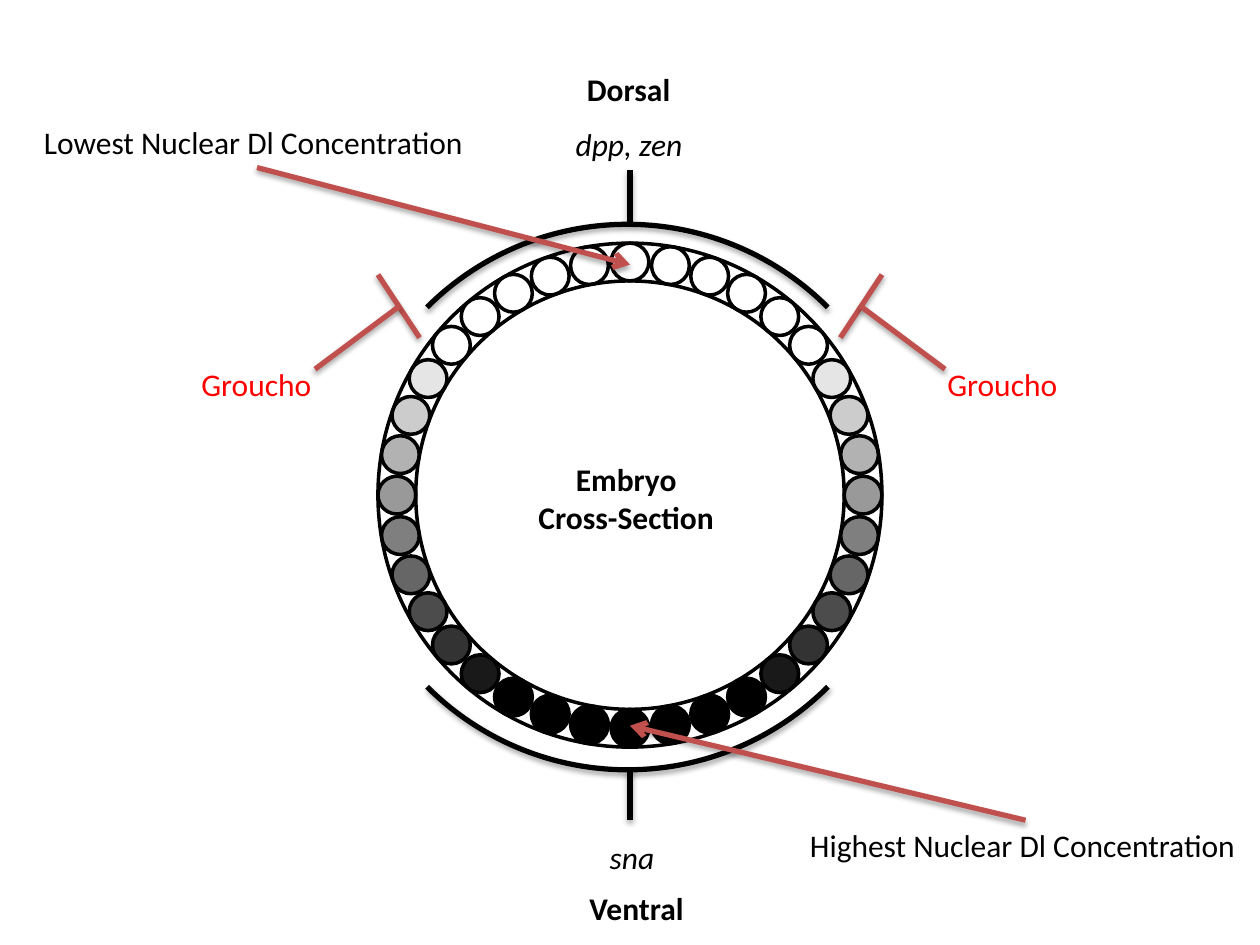
from dataclasses import dataclass
from math import cos, radians, sin

from lxml import etree
from pptx import Presentation
from pptx.dml.color import RGBColor
from pptx.enum.shapes import MSO_CONNECTOR, MSO_SHAPE
from pptx.enum.text import MSO_AUTO_SIZE, PP_ALIGN
from pptx.oxml.ns import qn
from pptx.util import Inches, Pt

OVAL, ARC = MSO_SHAPE.OVAL, MSO_SHAPE.ARC
STRAIGHT = MSO_CONNECTOR.STRAIGHT
LEFT, CENTER = PP_ALIGN.LEFT, PP_ALIGN.CENTER
COLUMNS, ROWS = 10, 7.5


@dataclass(frozen=True)
class Theme:
    black: RGBColor = RGBColor(0, 0, 0)
    marker: RGBColor = RGBColor(0xC0, 0x50, 0x4D)
    repressor: RGBColor = RGBColor(0xFF, 0, 0)
    font: str = "Calibri"
    text_size: float = 18
    thin: float = 2
    thick: float = 3


class Diagram:
    """Draws on one slide; every length is in grid columns and rows."""

    def __init__(self, deck, theme):
        self.theme = theme
        self.slide = deck.slides.add_slide(deck.slide_layouts[6])
        self.column = deck.slide_width / COLUMNS
        self.row = deck.slide_height / ROWS

    def place(self, x, y):
        return round(x * self.column), round(y * self.row)

    def add_effects(self, shape, shadowed):
        properties = shape._element.spPr
        effects = properties.find(qn("a:effectLst"))
        if effects is None:
            effects = etree.SubElement(properties, qn("a:effectLst"))
        if shadowed:
            shadow = etree.SubElement(
                effects, qn("a:outerShdw"), blurRad=str(Pt(3.1)),
                dist=str(Pt(1.8)), dir="5400000", rotWithShape="0")
            color = etree.SubElement(shadow, qn("a:srgbClr"), val=str(self.theme.black))
            etree.SubElement(color, qn("a:alpha"), val="35000")

    def round_shape(self, kind, center, radius, weight, shade=0, turn=0, shadowed=False):
        """Add a circle or quarter arc; shade is the percentage of black."""
        x, y = center
        shape = self.slide.shapes.add_shape(
            kind, *self.place(x - radius, y - radius), *self.place(2 * radius, 2 * radius))
        shape.rotation = turn
        if shade:
            shape.fill.solid()
            shape.fill.fore_color.rgb = self.theme.black
            color = shape._element.spPr.find(qn("a:solidFill"))[0]
            etree.SubElement(color, qn("a:alpha"), val=str(shade * 1000))
        else:
            shape.fill.background()
        shape.line.color.rgb = self.theme.black
        shape.line.width = Pt(weight)
        shape.shadow.inherit = False
        self.add_effects(shape, shadowed)

    def line(self, start, end, color, arrow=False):
        line = self.slide.shapes.add_connector(STRAIGHT, *self.place(*start), *self.place(*end))
        line.line.color.rgb = color
        line.line.width = Pt(self.theme.thick)
        if arrow:
            etree.SubElement(line.line._get_or_add_ln(), qn("a:tailEnd"), type="arrow")
        self.add_effects(line, True)

    def label(self, area, *lines, color=None, bold=False, italic=False, align=LEFT):
        x, y, width, height = area
        box = self.slide.shapes.add_textbox(*self.place(x, y), *self.place(width, height))
        frame = box.text_frame
        frame.word_wrap = False
        frame.auto_size = MSO_AUTO_SIZE.SHAPE_TO_FIT_TEXT
        for number, text in enumerate(lines):
            para = frame.add_paragraph() if number else frame.paragraphs[0]
            para.alignment = align
            span = para.add_run()
            span.text = text
            span.font.name = self.theme.font
            span.font.size = Pt(self.theme.text_size)
            span.font.bold, span.font.italic = bold, italic
            span.font.color.rgb = color or self.theme.black


def main():
    deck = Presentation()
    deck.slide_width, deck.slide_height = Inches(10), Inches(7.5)
    theme = Theme()
    diagram = Diagram(deck, theme)

    # Embryo walls
    middle_x, middle_y = center = (5, 3.93)
    inner, outer = 1.7, 2
    for radius in (inner, outer):
        diagram.round_shape(OVAL, center, radius, theme.thin)

    # Ring of nuclei, darkening from the dorsal to the ventral side
    nuclei = 36
    orbit, nucleus = (inner + outer) / 2, (outer - inner) / 2
    for index in range(nuclei):
        angle = radians(index * 360 / nuclei)
        spot = (middle_x + orbit * sin(angle), middle_y - orbit * cos(angle))
        steps_from_top = min(index, nuclei - index)
        shade = max(0, min(100, (steps_from_top - 5) * 10))
        diagram.round_shape(OVAL, spot, nucleus, theme.thin, shade)

    # Ventral and dorsal expression domains
    for arc_y, turn, stem in ((3.86, 135, (6.1, 6.51)), (4.03, 315, (1.35, 1.76))):
        diagram.round_shape(ARC, (4.98, arc_y), 2.25, theme.thick, turn=turn, shadowed=True)
        diagram.line((middle_x, stem[0]), (middle_x, stem[1]), theme.black)
    diagram.label((4.74, 6.6, 0.56, 0.4), "sna", italic=True)
    diagram.label((4.47, 0.94, 1.08, 0.4), "dpp, zen", italic=True)

    # Groucho repression bars, mirrored about the middle
    for side, label_x in ((-1, 1.5), (1, 7.42)):
        diagram.line((middle_x + side * 2, 2.18), (middle_x + side * 1.67, 2.68), theme.marker)
        diagram.line((middle_x + side * 1.83, 2.43), (middle_x + side * 2.5, 2.93), theme.marker)
        diagram.label((label_x, 2.85, 1.08, 0.4), "Groucho", color=theme.repressor)

    # Names of the section and its poles
    diagram.label((4.17, 3.6, 1.6, 0.71), "Embryo", "Cross-Section", bold=True, align=CENTER)
    diagram.label((4.56, 0.51, 0.87, 0.4), "Dorsal", bold=True)
    diagram.label((4.58, 7.01, 0.95, 0.4), "Ventral", bold=True)

    # Concentration extremes
    diagram.label((0.25, 0.93, 3.58, 0.4), "Lowest Nuclear Dl Concentration")
    diagram.line((2.04, 1.33), (middle_x, 2.1), theme.marker, arrow=True)
    diagram.label((6.33, 6.51, 3.62, 0.4), "Highest Nuclear Dl Concentration")
    diagram.line((8.14, 6.51), (middle_x, 5.76), theme.marker, arrow=True)

    deck.save("out.pptx")


if __name__ == "__main__":
    main()
